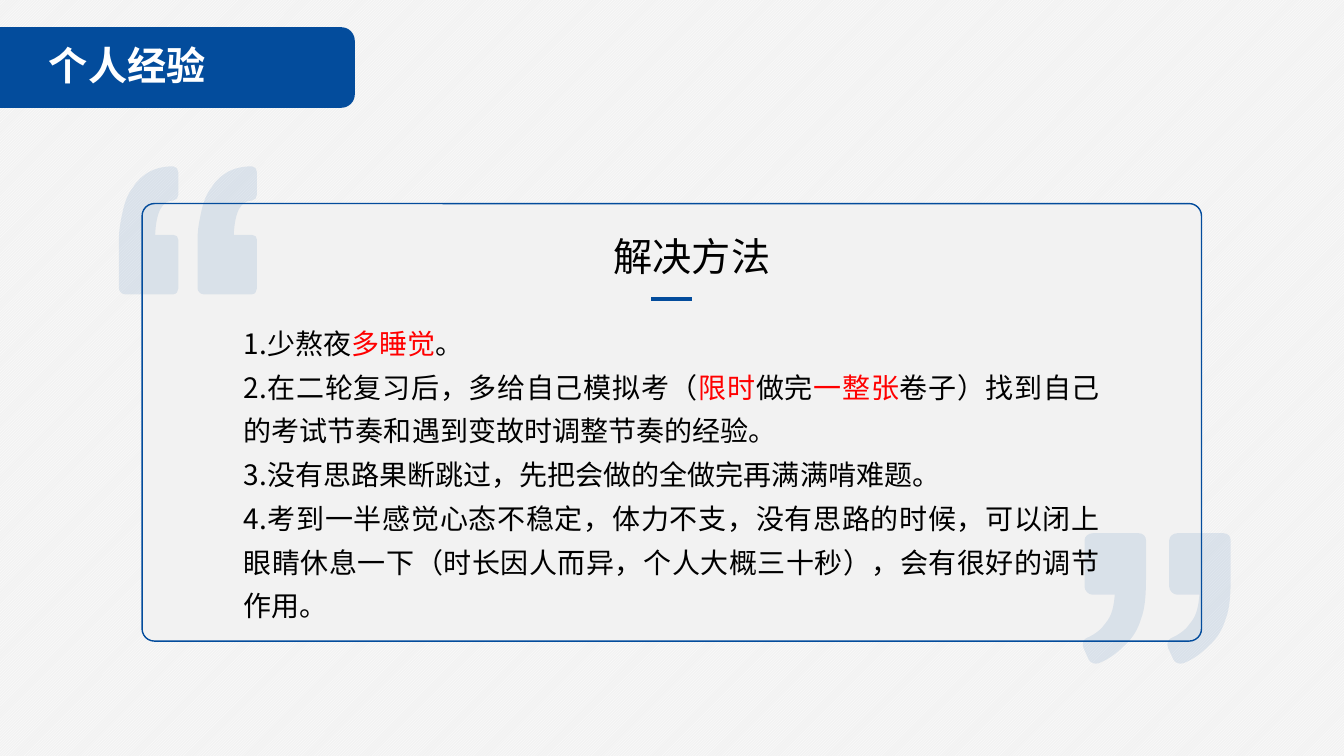
from lxml import etree
from pptx import Presentation
from pptx.dml.color import RGBColor
from pptx.enum.dml import MSO_PATTERN
from pptx.enum.shapes import MSO_CONNECTOR, MSO_SHAPE
from pptx.enum.text import MSO_ANCHOR, MSO_AUTO_SIZE, PP_ALIGN
from pptx.oxml.ns import qn
from pptx.util import Inches, Pt

# Content
FONT = "Noto Sans CJK SC"
COLORS = {"blue": "034C9C", "gray": "F2F2F2", "white": "FFFFFF",
          "black": "000000", "red": "FF0000"}
SECTION = "个人经验"
HEADING = "解决方法"
ADVICE = [
    [("1.少熬夜", "black"), ("多睡觉", "red"), ("。", "black")],
    [("2.在二轮复习后，多给自己模拟考（", "black"), ("限时", "red"),
     ("做完", "black"), ("一整张", "red"),
     ("卷子）找到自己的考试节奏和遇到变故时调整节奏的经验。", "black")],
    [("3.没有思路果断跳过，先把会做的全做完再满满啃难题。", "black")],
    [("4.考到一半感觉心态不稳定，体力不支，没有思路的时候，可以闭上眼睛休息一下"
      "（时长因人而异，个人大概三十秒），会有很好的调节作用。", "black")],
]

# One quote mark of each pair: two numbers draw a line, six a curve
OPENING = [(1.77, 1.71), (1.77, 1.93), (1.77, 1.96, 1.75, 1.99, 1.72, 1.99),
           (1.61, 1.99, 1.55, 2.1, 1.54, 2.33), (1.72, 2.33),
           (1.75, 2.33, 1.77, 2.35, 1.77, 2.38), (1.77, 2.86),
           (1.77, 2.89, 1.75, 2.92, 1.72, 2.92), (1.24, 2.92),
           (1.21, 2.92, 1.18, 2.89, 1.18, 2.86), (1.18, 2.38),
           (1.18, 2.27, 1.2, 2.18, 1.22, 2.09),
           (1.24, 2, 1.27, 1.92, 1.32, 1.86),
           (1.36, 1.79, 1.42, 1.74, 1.49, 1.7),
           (1.55, 1.67, 1.63, 1.65, 1.72, 1.65),
           (1.75, 1.65, 1.77, 1.68, 1.77, 1.71)]
CLOSING = [(10.84, 5.29), (11.3, 5.29), (11.34, 5.29, 11.37, 5.32, 11.37, 5.36),
           (11.37, 5.72), (11.37, 5.9, 11.36, 6.04, 11.32, 6.14),
           (11.29, 6.24, 11.24, 6.33, 11.15, 6.41),
           (11.08, 6.48, 11, 6.54, 10.9, 6.58),
           (10.86, 6.59, 10.82, 6.58, 10.8, 6.54), (10.75, 6.43),
           (10.73, 6.39, 10.75, 6.34, 10.78, 6.33),
           (10.87, 6.29, 10.93, 6.24, 10.97, 6.18),
           (11.03, 6.11, 11.05, 6.02, 11.06, 5.9), (10.84, 5.9),
           (10.8, 5.9, 10.76, 5.86, 10.76, 5.82), (10.76, 5.36),
           (10.76, 5.32, 10.8, 5.29, 10.84, 5.29)]
QUOTES = [(OPENING, 0.78), (CLOSING, 0.84)]  # outline, step to its twin


def rgb(name):
    return RGBColor.from_string(COLORS[name])


def add_panel(box, corner, fill=None, line=None):
    panel = slide.shapes.add_shape(MSO_SHAPE.ROUNDED_RECTANGLE, *map(Inches, box))
    panel.shadow.inherit = False
    panel.adjustments[0] = corner
    if fill:
        panel.fill.solid()
        panel.fill.fore_color.rgb = rgb(fill)
    else:
        panel.fill.background()
    if line:
        panel.line.color.rgb = rgb(line)
        panel.line.width = Pt(1)
    else:
        panel.line.fill.background()
    return panel


def add_textbox(box):
    textbox = slide.shapes.add_textbox(*map(Inches, box))
    textbox.text_frame.auto_size = MSO_AUTO_SIZE.SHAPE_TO_FIT_TEXT
    return textbox


def write(holder, paragraphs, size, align, spacing=None, before=None, bold=None):
    frame = holder.text_frame
    frame.word_wrap = True
    for index, pieces in enumerate(paragraphs):
        paragraph = frame.add_paragraph() if index else frame.paragraphs[0]
        paragraph.alignment = align
        paragraph.line_spacing = spacing
        paragraph.space_before = before
        for words, color in pieces:
            run = paragraph.add_run()
            run.text = words
            run.font.size = Pt(size)
            run.font.bold = bold
            run.font.color.rgb = rgb(color)
            run.font.name = FONT
            east_asian = etree.SubElement(run.font._element, qn("a:ea"))
            east_asian.set("typeface", FONT)


def shifted(outline, shift):
    """The outline moved right, each step as (x, y) pairs in EMU."""
    return [[(Inches(x + shift), Inches(y)) for x, y in zip(step[::2], step[1::2])]
            for step in outline]


def add_quotes(outline, gap):
    first, second = shifted(outline, 0), shifted(outline, gap)
    builder = slide.shapes.build_freeform(*first[0][-1])
    builder.add_line_segments([step[-1] for step in first[1:]], close=True)
    builder.move_to(*second[0][-1])
    builder.add_line_segments([step[-1] for step in second[1:]], close=True)
    quotes = builder.convert_to_shape()
    quotes.shadow.inherit = False
    quotes.line.fill.background()
    quotes.fill.solid()
    quotes.fill.fore_color.rgb = rgb("blue")
    color = quotes._element.spPr.find(qn("a:solidFill")).find(qn("a:srgbClr"))
    etree.SubElement(color, qn("a:alpha")).set("val", "10000")
    # Bend the segments that are curves
    segments = list(quotes._element.iter(qn("a:lnTo")))
    for segment, step in zip(segments, first[1:] + second[1:]):
        if len(step) == 3:
            curve = etree.Element(qn("a:cubicBezTo"))
            for x, y in step:
                point = etree.SubElement(curve, qn("a:pt"))
                point.set("x", str(x - quotes.left))
                point.set("y", str(y - quotes.top))
            segment.getparent().replace(segment, curve)


prs = Presentation()
prs.slide_width, prs.slide_height = Inches(40 / 3), Inches(7.5)
slide = prs.slides.add_slide(prs.slide_layouts[6])

# Striped background
backdrop = slide.background.fill
backdrop.patterned()
backdrop.pattern = MSO_PATTERN.DARK_UPWARD_DIAGONAL
backdrop.fore_color.rgb = rgb("white")
backdrop.back_color.rgb = rgb("gray")

# Section tab
add_panel((-0.26, 0.27, 3.78, 0.8), 0.167, "blue")
label = add_panel((0.29, 0.34, 3.02, 0.66), 0.5)
label.text_frame.vertical_anchor = MSO_ANCHOR.MIDDLE
write(label, [[(SECTION, "white")]], 28, PP_ALIGN.LEFT, 0.9, Pt(10), True)

# Card with heading, quote marks and advice
add_panel((1.41, 2.02, 10.51, 4.34), 0.028, "gray", "blue")
write(add_textbox((2.02, 2.26, 9.69, 0.57)), [[(HEADING, "black")]], 28, PP_ALIGN.CENTER)
for outline, gap in QUOTES:
    add_quotes(outline, gap)
write(add_textbox((2.32, 3.09, 8.69, 3.12)), ADVICE, 20, PP_ALIGN.JUSTIFY, 1.3)

# Rule under the heading
rule = slide.shapes.add_connector(MSO_CONNECTOR.STRAIGHT, Inches(6.46), Inches(2.97),
                                  Inches(6.87), Inches(2.97))
rule.line.color.rgb = rgb("blue")
rule.line.width = Pt(3)
etree.SubElement(rule._element.spPr, qn("a:effectLst"))

prs.save("out.pptx")
